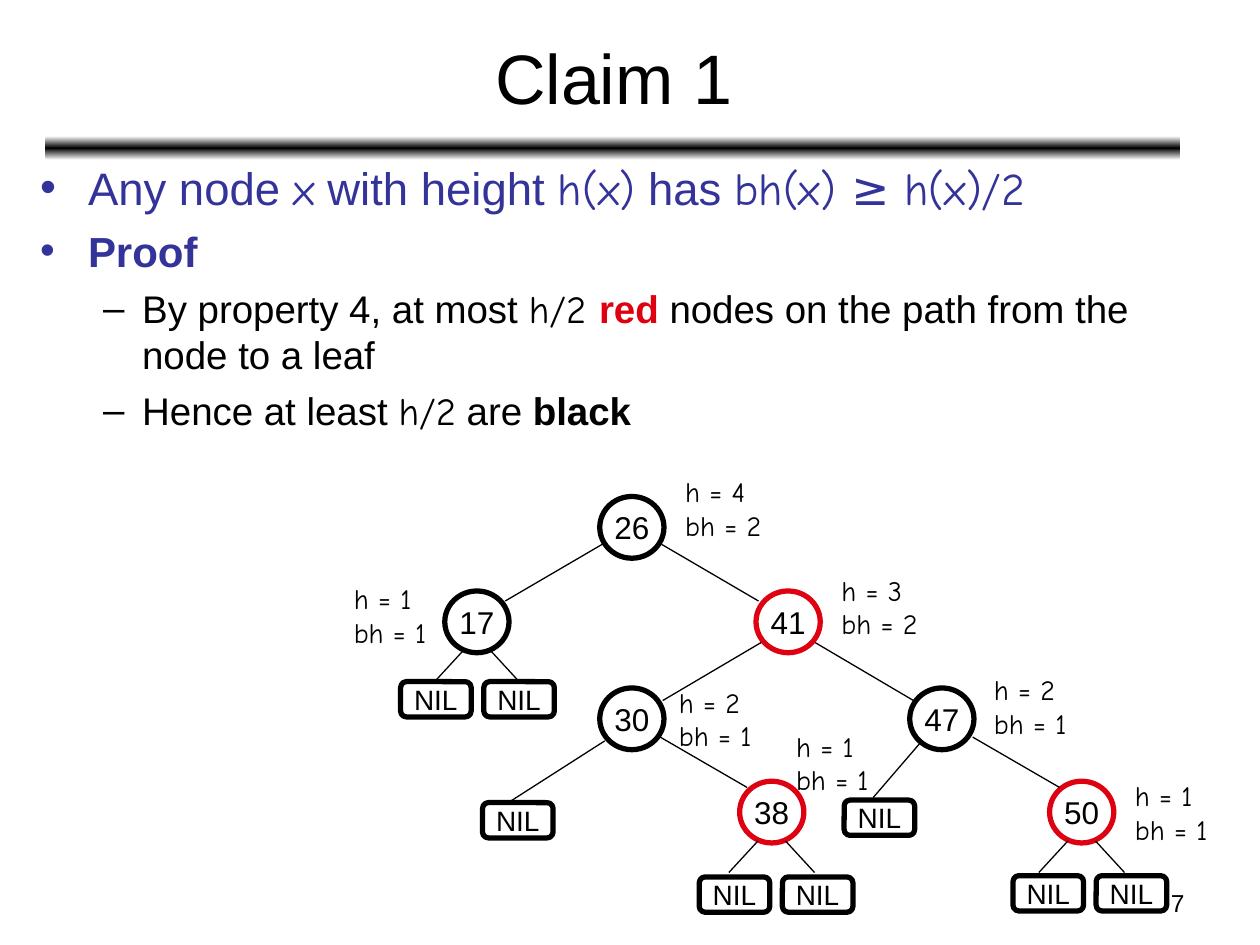
from lxml.etree import SubElement
from pptx import Presentation
from pptx.dml.color import RGBColor
from pptx.enum.shapes import MSO_CONNECTOR, MSO_SHAPE
from pptx.enum.text import MSO_ANCHOR, PP_ALIGN
from pptx.oxml import parse_xml
from pptx.oxml.ns import nsdecls, qn
from pptx.util import Inches, Pt

COLORS = {"black": "000000", "red": "DD0111", "blue": "333399", "white": "FFFFFF"}
SANS, COMIC = "Arial", "Comic Neue"

TITLE = "Claim 1"
PAGE = "7"
CLAIMS = [
    ("•", 26, "blue", 6.5, [("Any node ", "plain"), ("x", "math"), (" with height ", "plain"),
                            ("h(x)", "math"), (" has ", "plain"), ("bh(x) ≥ h(x)/2", "math")]),
    ("•", 24, "blue", 6, [("Proof", "bold")]),
    ("–", 22, "black", 5.5, [("By property 4, at most ", "plain"), ("h/2 ", "math"), ("red", "red"),
                             (" nodes on the path from the node to a leaf", "plain")]),
    ("–", 22, "black", 5.5, [("Hence at least ", "plain"), ("h/2", "math"), (" are ", "plain"),
                             ("black", "bold")]),
]
INDENTS = {"•": (0.38, 0.38), "–": (0.81, 0.31)}

NODES = [
    ("26", 4.76, 3.94, "black"), ("17", 3.53, 4.69, "black"), ("41", 6, 4.69, "red"),
    ("30", 4.76, 5.46, "black"), ("47", 7.22, 5.46, "black"),
    ("38", 5.87, 6.2, "red"), ("50", 8.33, 6.2, "red"),
]
BRANCHES = [
    (4.78, 4.32, 4.01, 4.77), (5.25, 4.32, 6.02, 4.77),
    (6.04, 5.1, 5.26, 5.56), (6.47, 5.1, 7.25, 5.56),
    (5.24, 5.85, 5.93, 6.25), (7.72, 5.85, 8.41, 6.25),
    (4.8, 5.88, 4.05, 6.36), (7.3, 5.9, 6.93, 6.33),
]
SINGLE_LEAVES = [(3.83, 6.37), (6.7, 6.35)]
LEAF_PAIRS = {"17": (3.18, 5.41), "38": (5.55, 6.96), "50": (8.04, 6.95)}
HEIGHTS = [
    (5.34, 3.72, 4, 2), (6.58, 4.5, 3, 2), (7.79, 5.29, 2, 1), (8.91, 6.13, 1, 1),
    (2.71, 4.57, 1, 1), (5.29, 5.39, 2, 1), (6.22, 5.74, 1, 1),
]
NODE_W, NODE_H = 0.51, 0.49
LEAF_W, LEAF_H, LEAF_STEP = 0.56, 0.28, 0.66
HEIGHT_W, HEIGHT_H = 0.8, 0.64


def color(name):
    return RGBColor.from_string(COLORS[name])


def set_font(paragraph, size, name=SANS, tone="black"):
    paragraph.font.size = Pt(size)
    paragraph.font.name = name
    paragraph.font.color.rgb = color(tone)


def add_text(slide, box, lines, size, name=SANS, align=PP_ALIGN.LEFT,
             anchor=MSO_ANCHOR.TOP, right_inset=0.1):
    frame = slide.shapes.add_textbox(*map(Inches, box)).text_frame
    frame.word_wrap = True
    frame.margin_right = Inches(right_inset)
    frame.vertical_anchor = anchor
    frame.text = "\n".join(lines)
    for paragraph in frame.paragraphs:
        paragraph.alignment = align
        set_font(paragraph, size, name)


def add_outlined(slide, kind, box, label, size, tone="black"):
    outlined = slide.shapes.add_shape(kind, *map(Inches, box))
    outlined.shadow.inherit = False
    outlined.fill.background()
    outlined.line.color.rgb = color(tone)
    outlined.line.width = Pt(3)
    frame = outlined.text_frame
    frame.word_wrap = False
    frame.vertical_anchor = MSO_ANCHOR.MIDDLE
    frame.text = label
    frame.paragraphs[0].alignment = PP_ALIGN.CENTER
    set_font(frame.paragraphs[0], size)


def add_leaf(slide, left, top):
    add_outlined(slide, MSO_SHAPE.ROUNDED_RECTANGLE, (left, top, LEAF_W, LEAF_H), "NIL", 16)


def add_edge(slide, ends):
    edge = slide.shapes.add_connector(MSO_CONNECTOR.STRAIGHT, *map(Inches, ends))
    edge.line.color.rgb = color("black")
    edge.line.width = Pt(0.75)
    SubElement(edge._element.spPr, qn("a:effectLst"))


def add_rule(slide):
    rule = slide.shapes.add_shape(MSO_SHAPE.ROUNDED_RECTANGLE,
                                  *map(Inches, (0.36, 1.08, 9.01, 0.19)))
    rule.shadow.inherit = False
    rule.line.fill.background()
    rule.fill.gradient()
    rule.fill.gradient_angle = 90
    stops = rule._element.spPr.find(qn("a:gradFill")).find(qn("a:gsLst"))
    for stop in list(stops):
        stops.remove(stop)
    for position, tone in ((0, "white"), (50, "black"), (100, "white")):
        stops.append(parse_xml(f'<a:gs {nsdecls("a")} pos="{position * 1000}">'
                               f'<a:srgbClr val="{COLORS[tone]}"/></a:gs>'))


def add_bullet(paragraph, mark, tone):
    left, hang = INDENTS[mark]
    props = paragraph._p.get_or_add_pPr()
    props.set("marL", str(Inches(left)))
    props.set("indent", str(-Inches(hang)))
    SubElement(SubElement(props, qn("a:buClr")), qn("a:srgbClr"), val=COLORS[tone])
    SubElement(props, qn("a:buFont"), typeface=SANS)
    SubElement(props, qn("a:buChar"), char=mark)


def add_claims(slide):
    frame = slide.shapes.add_textbox(*map(Inches, (0.22, 1.22, 9.51, 3.31))).text_frame
    frame.word_wrap = True
    for index, (mark, size, tone, before, pieces) in enumerate(CLAIMS):
        paragraph = frame.add_paragraph() if index else frame.paragraphs[0]
        paragraph.space_before = Pt(before)
        add_bullet(paragraph, mark, tone)
        set_font(paragraph, size, SANS, tone)
        for words, style in pieces:
            run = paragraph.add_run()
            run.text = words
            if style == "math":
                run.font.name = COMIC
            if style in ("bold", "red"):
                run.font.bold = True
            if style == "red":
                run.font.color.rgb = color("red")


def add_tree(slide):
    for label, left, top, tone in NODES:
        add_outlined(slide, MSO_SHAPE.OVAL, (left, top, NODE_W, NODE_H), label, 18, tone)
        if label in LEAF_PAIRS:
            leaf_left, leaf_top = LEAF_PAIRS[label]
            x, y = left + NODE_W / 2, top + NODE_H / 2
            for index, side in enumerate((-1, 1)):
                add_leaf(slide, leaf_left + index * LEAF_STEP, leaf_top)
                add_edge(slide, (x + side * 0.11, y + 0.23, x + side * 0.34, y + 0.48))
    for leaf in SINGLE_LEAVES:
        add_leaf(slide, *leaf)
    for branch in BRANCHES:
        add_edge(slide, branch)
    for left, top, height, black_height in HEIGHTS:
        add_text(slide, (left, top, HEIGHT_W, HEIGHT_H),
                 (f"h = {height}", f"bh = {black_height}"), 16, COMIC, right_inset=0)


def main():
    deck = Presentation()
    deck.slide_width, deck.slide_height = Inches(10), Inches(7.5)
    slide = deck.slides.add_slide(deck.slide_layouts[6])
    add_rule(slide)
    add_text(slide, (7.17, 7, 2.33, 0.35), [PAGE], 14, align=PP_ALIGN.RIGHT)
    add_text(slide, (0.37, 0.11, 9, 0.99), [TITLE], 40, align=PP_ALIGN.CENTER,
             anchor=MSO_ANCHOR.MIDDLE)
    add_claims(slide)
    add_tree(slide)
    deck.save("out.pptx")


if __name__ == "__main__":
    main()
